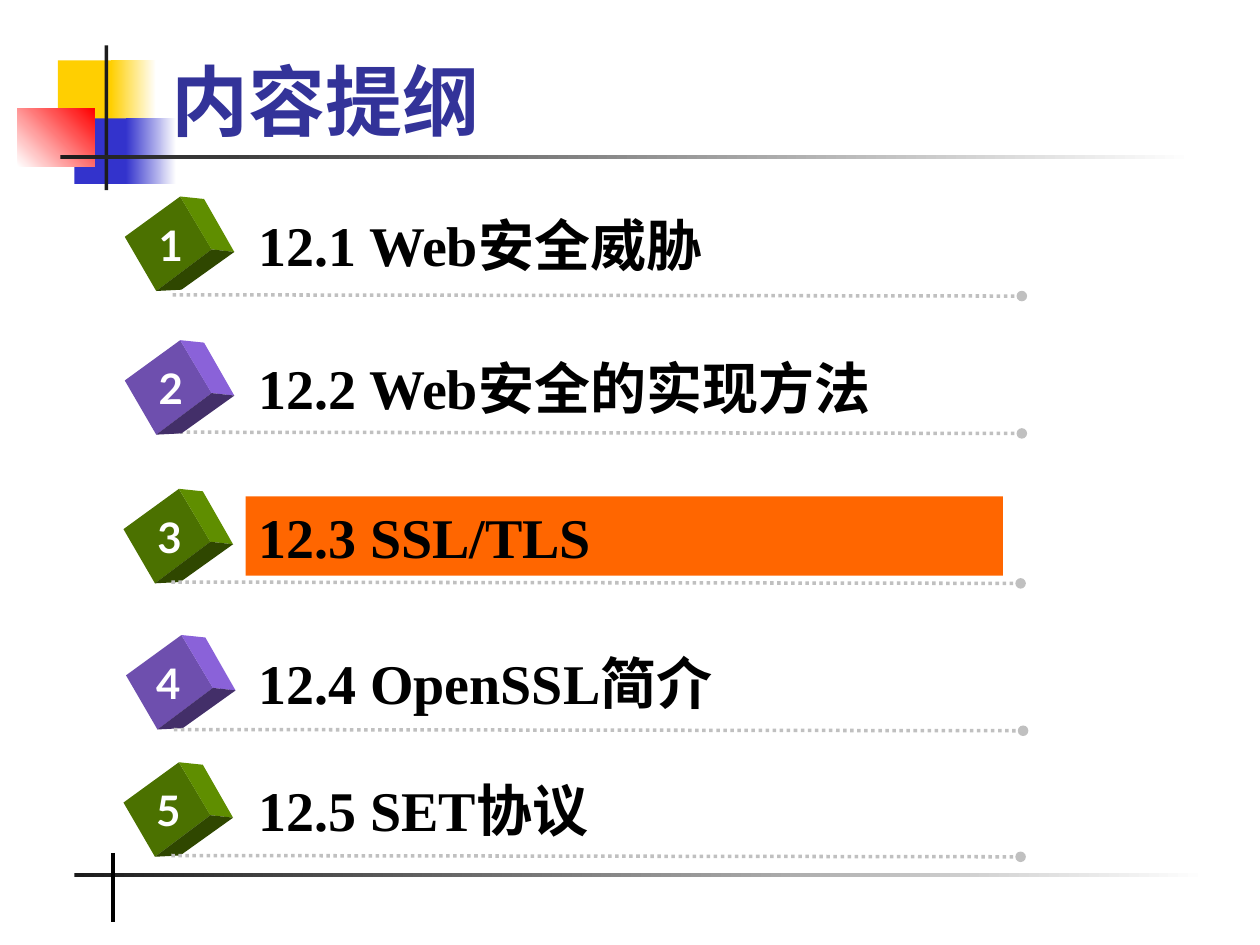
from dataclasses import dataclass

from lxml.etree import SubElement
from pptx import Presentation
from pptx.dml.color import RGBColor
from pptx.enum.dml import MSO_LINE
from pptx.enum.shapes import MSO_CONNECTOR, MSO_SHAPE
from pptx.enum.text import MSO_ANCHOR, PP_ALIGN
from pptx.oxml.ns import qn
from pptx.util import Inches, Pt


@dataclass(frozen=True)
class Theme:
    yellow: str = "FFCF01"
    blue: str = "3333CC"
    red: str = "FF0000"
    white: str = "FFFFFF"
    black: str = "000000"
    ink: str = "1C1C1C"
    title: str = "333399"
    dots: str = "C0C0C0"
    highlight: str = "FF6600"
    # Cube faces: front, side, bottom
    green: tuple = ("4B7100", "5F8E00", "2F4700")
    purple: tuple = ("6E4FAE", "8A62D9", "432F69")
    serif: str = "Times New Roman"
    sans: str = "Lato"
    title_size: int = 44
    item_size: int = 32
    number_size: int = 24


THEME = Theme()

# Cube corners, measured from the top left of the cube
LEFT, TOP, TOP_BACK = (0, 0.32), (0.44, 0), (0.63, 0.02)
RIGHT_BACK, BOTTOM_BACK = (0.87, 0.44), (0.45, 0.74)
BOTTOM, RIGHT = (0.25, 0.75), (0.69, 0.42)
CUBE_FACES = (
    (LEFT, TOP, RIGHT, BOTTOM),
    (TOP, TOP_BACK, RIGHT_BACK, RIGHT),
    (BOTTOM, RIGHT, RIGHT_BACK, BOTTOM_BACK),
)

# Item text, row top, cube left, text width, rule offset, highlighted
ITEMS = (
    ("12.1 Web安全威胁", 1.62, 0.99, 6.16, 0.72, False),
    ("12.2 Web安全的实现方法", 2.76, 0.99, 5.85, 0.67, False),
    ("12.3 SSL/TLS", 3.94, 0.98, 6.01, 0.68, True),
    ("12.4 OpenSSL简介", 5.1, 1.0, 6.16, 0.69, False),
    ("12.5 SET协议", 6.11, 0.98, 6.01, 0.68, False),
)


def color(value):
    return RGBColor.from_string(value)


def paint(shape, value):
    shape.shadow.inherit = False
    shape.fill.solid()
    shape.fill.fore_color.rgb = color(value)
    shape.line.fill.background()


def add_block(page, box, start, end=None, angle=0):
    """Rectangle in one colour, or fading from start to end."""
    block = page.shapes.add_shape(MSO_SHAPE.RECTANGLE, *map(Inches, box))
    paint(block, start)
    if end:
        block.fill.gradient()
        block.fill.gradient_angle = angle
        for stop, value in zip(block.fill.gradient_stops, (start, end)):
            stop.color.rgb = color(value)


def add_line(page, start, end, value, width):
    line = page.shapes.add_connector(
        MSO_CONNECTOR.STRAIGHT, *map(Inches, (*start, *end)))
    line.line.color.rgb = color(value)
    line.line.width = Pt(width)
    SubElement(line._element.spPr, qn("a:effectLst"))
    return line


def add_text(page, box, text, font, size, value, anchor=MSO_ANCHOR.TOP,
             align=PP_ALIGN.LEFT, wrap=True, fill=None):
    label = page.shapes.add_textbox(*map(Inches, box))
    if fill:
        paint(label, fill)
    frame = label.text_frame
    frame.word_wrap = wrap
    frame.vertical_anchor = anchor
    frame.text = text
    para = frame.paragraphs[0]
    para.alignment = align
    span = para.runs[0]
    span.font.name = font
    span.font.size = Pt(size)
    span.font.bold = True
    span.font.color.rgb = color(value)


def add_decoration(page):
    # Coloured squares behind the title
    add_block(page, (0.46, 0.48, 0.48, 0.52), THEME.yellow)
    add_block(page, (0.88, 0.48, 0.36, 0.52), THEME.yellow, THEME.white)
    add_block(page, (0.59, 0.94, 0.46, 0.52), THEME.blue)
    add_block(page, (1.0, 0.94, 0.4, 0.52), THEME.blue, THEME.white)
    add_block(page, (0.14, 0.86, 0.61, 0.46), THEME.white, THEME.red, 45)
    # Crossed bars above and below the list
    add_block(page, (0.83, 0.36, 0.03, 1.15), THEME.ink)
    for left, top in ((0.48, 1.23), (0.59, 6.93)):
        add_block(page, (left, top, 9, 0.03), THEME.ink, THEME.white)
    add_line(page, (0.9, 6.77), (0.9, 7.32), THEME.black, 2.25)


def add_rule(page, left, top):
    rule = add_line(page, (left, top), (left + 6.74, top + 0.01),
                    THEME.dots, 2)
    rule.line.dash_style = MSO_LINE.ROUND_DOT
    SubElement(rule.line._get_or_add_ln(), qn("a:tailEnd"), type="oval")


def add_cube(page, left, top, shades):
    for corners, shade in zip(CUBE_FACES, shades):
        points = [(Inches(left + x), Inches(top + y)) for x, y in corners]
        builder = page.shapes.build_freeform(*points[0])
        builder.add_line_segments(points[1:], close=True)
        paint(builder.convert_to_shape(), shade)


def add_item(page, number, item):
    text, top, cube_left, width, rule_offset, highlighted = item
    shades = THEME.green if number % 2 else THEME.purple
    rule_behind = number == 2
    rule = (cube_left + 0.38, top + rule_offset)

    if rule_behind:
        add_rule(page, *rule)
    add_cube(page, cube_left, top - 0.06, shades)
    add_text(page, (1.95, top, width, 0.63), text, THEME.serif,
             THEME.item_size, THEME.black,
             fill=THEME.highlight if highlighted else None)
    number_left = 1.14 if number > 3 else cube_left + 0.17
    add_text(page, (number_left, top + 0.07, 0.39, 0.5), str(number),
             THEME.sans, THEME.number_size, THEME.white,
             align=PP_ALIGN.CENTER, wrap=False)
    if not rule_behind:
        add_rule(page, *rule)


def main():
    deck = Presentation()
    deck.slide_width, deck.slide_height = Inches(10), Inches(7.5)
    page = deck.slides.add_slide(deck.slide_layouts[6])

    add_decoration(page)
    add_text(page, (1.26, 0.16, 8.52, 1.05), "内容提纲", THEME.serif,
             THEME.title_size, THEME.title, anchor=MSO_ANCHOR.BOTTOM)
    for number, item in enumerate(ITEMS, start=1):
        add_item(page, number, item)

    deck.save("out.pptx")


if __name__ == "__main__":
    main()
